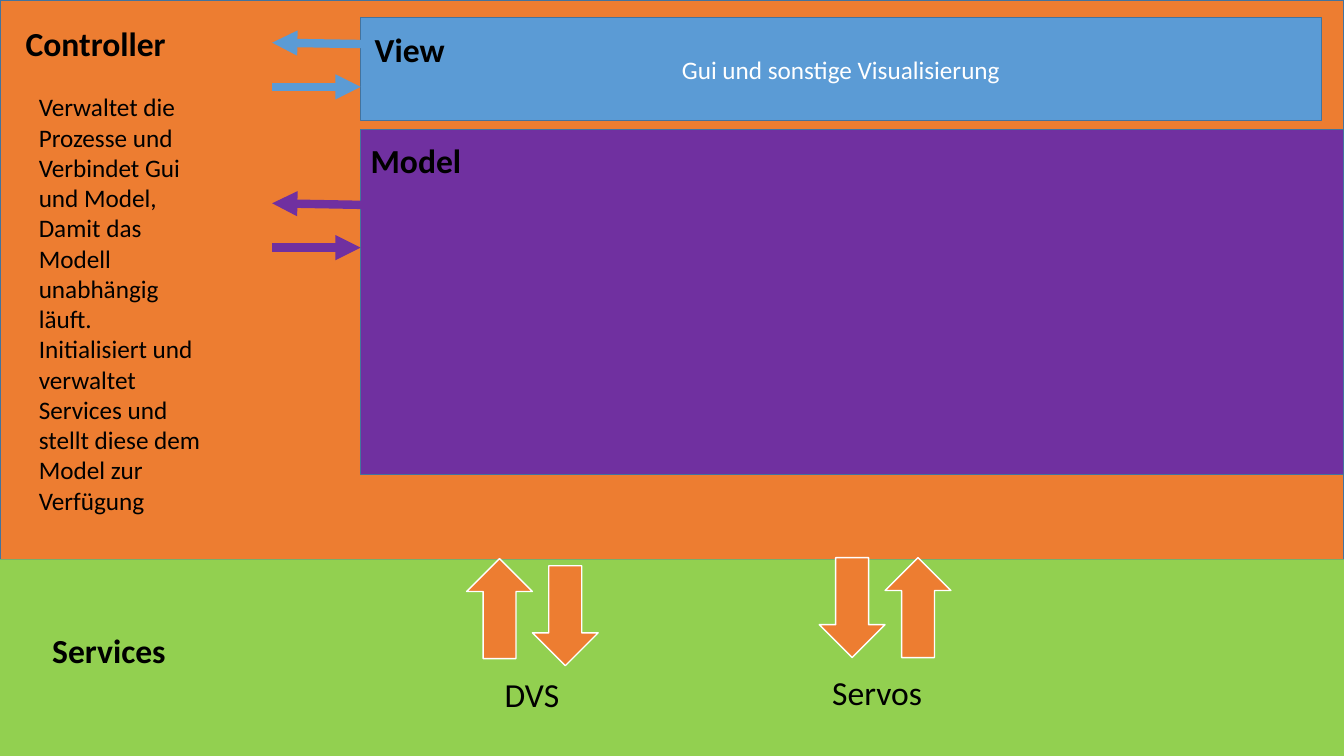
"""Build the slide showing how controller, view, model and services interact."""
from dataclasses import dataclass

import pptx
import pptx.dml.color
import pptx.enum.shapes
import pptx.enum.text
import pptx.oxml
import pptx.oxml.ns
import pptx.util

Pt = pptx.util.Pt
SHAPE = pptx.enum.shapes.MSO_SHAPE
ALIGN = pptx.enum.text.PP_ALIGN
COLORS = {
    "controller": "ED7D31", "services": "92D050", "model": "7030A0",
    "view": "5B9BD5", "border": "43739E", "black": "000000", "white": "FFFFFF",
}
WIDTH, HEIGHT = 960, 540
SERVICES_TOP = 399.6
PANEL_LEFT = 257.6
ARROW_WIDTH, ARROW_HEIGHT = 47, 71.4


@dataclass
class Block:
    left: float
    top: float
    width: float
    height: float
    fill: str
    line: str | None = "border"
    kind: SHAPE = SHAPE.RECTANGLE
    rotation: float = 0
    text: str = ""


@dataclass
class Label:
    text: str
    left: float
    top: float
    width: float
    height: float = 36.35
    size: float = 24
    bold: bool = False
    wrap: bool = False


@dataclass
class Link:
    start: tuple[float, float]
    end: tuple[float, float]
    color: str


def rgb(name: str) -> pptx.dml.color.RGBColor:
    return pptx.dml.color.RGBColor.from_string(COLORS[name])


def write(tf, text: str, size: float, color: str, bold: bool = False, align=ALIGN.LEFT) -> None:
    tf.text = text
    for p in tf.paragraphs:
        p.alignment = align
        for r in p.runs:
            r.font.name, r.font.size, r.font.bold = "Calibri", Pt(size), bold
            r.font.color.rgb = rgb(color)


def draw_block(s, b: Block) -> None:
    sp = s.shapes.add_shape(b.kind, Pt(b.left), Pt(b.top), Pt(b.width), Pt(b.height))
    sp.shadow.inherit = False
    sp.rotation = b.rotation
    sp.fill.solid()
    sp.fill.fore_color.rgb = rgb(b.fill)
    if b.line:
        sp.line.color.rgb = rgb(b.line)
        sp.line.width = Pt(1)
    else:
        sp.line.fill.background()
    if b.text:
        sp.text_frame.vertical_anchor = pptx.enum.text.MSO_ANCHOR.MIDDLE
        write(sp.text_frame, b.text, 18, "white", align=ALIGN.CENTER)


def draw_label(s, label: Label) -> None:
    sp = s.shapes.add_textbox(Pt(label.left), Pt(label.top), Pt(label.width), Pt(label.height))
    tf = sp.text_frame
    tf.word_wrap = label.wrap
    tf.auto_size = pptx.enum.text.MSO_AUTO_SIZE.SHAPE_TO_FIT_TEXT
    write(tf, label.text, label.size, "black", label.bold)


def draw_link(s, link: Link) -> None:
    sp = s.shapes.add_connector(
        pptx.enum.shapes.MSO_CONNECTOR.STRAIGHT, *map(Pt, link.start + link.end))
    sp.line.color.rgb = rgb(link.color)
    sp.line.width = Pt(6)
    ns = pptx.oxml.ns.nsdecls("a")
    ln = sp.line._get_or_add_ln()
    ln.append(pptx.oxml.parse_xml(f'<a:tailEnd {ns} type="triangle"/>'))
    ln.addnext(pptx.oxml.parse_xml(f"<a:effectLst {ns}/>"))


def service_arrow(left: float, top: float, up: bool) -> Block:
    return Block(left, top, ARROW_WIDTH, ARROW_HEIGHT, "controller", "white",
                 SHAPE.DOWN_ARROW, 180 if up else 0)


def links(color: str, back_y: float, end_y: float, forth_y: float) -> list[Link]:
    left = 194.4
    return [Link((260.6, back_y), (left, end_y), color),
            Link((left, forth_y), (PANEL_LEFT, forth_y), color)]


BLOCKS = [
    Block(0, 0, WIDTH, SERVICES_TOP, "controller"),
    Block(0, SERVICES_TOP, WIDTH, HEIGHT - SERVICES_TOP, "services", None),
    Block(PANEL_LEFT, 92.6, WIDTH - PANEL_LEFT, 246.2, "model"),
    Block(PANEL_LEFT, 12.3, 686.2, 74, "view", text="Gui und sonstige Visualisierung"),
]
LABELS = [
    Label("Controller", 11.2, 12.5, 115.9, bold=True),
    Label("Model", PANEL_LEFT, 96.7, 79.9, bold=True),
    Label("View", 260.6, 17.4, 86.4, bold=True, wrap=True),
    Label("Services", 30.2, 446.5, 96.5, bold=True),
    Label("DVS", 353.4, 478.1, 54),
    Label("Servos", 587.4, 476.2, 79.2),
    Label("Verwaltet die Prozesse und Verbindet Gui und Model,\n"
          "Damit das Modell unabhängig läuft.\n"
          "Initialisiert und verwaltet Services und stellt diese dem Model zur Verfügung",
          20.6, 62, 138.2, 312.5, size=18, wrap=True),
]
LINKS = links("view", 31.5, 30.5, 62.1) + links("model", 146.4, 145.2, 176.9)
SERVICE_ARROWS = [
    service_arrow(333.3, 399, True),
    service_arrow(333.3 + ARROW_WIDTH, 404.1, False),
    service_arrow(585.2, 398.3, False),
    service_arrow(585.2 + ARROW_WIDTH, 398.3, True),
]

prs = pptx.Presentation()
prs.slide_width, prs.slide_height = Pt(WIDTH), Pt(HEIGHT)
s = prs.slides.add_slide(prs.slide_layouts[6])
for block in BLOCKS:
    draw_block(s, block)
for label in LABELS:
    draw_label(s, label)
for link in LINKS:
    draw_link(s, link)
for arrow in SERVICE_ARROWS:
    draw_block(s, arrow)
prs.save("out.pptx")
